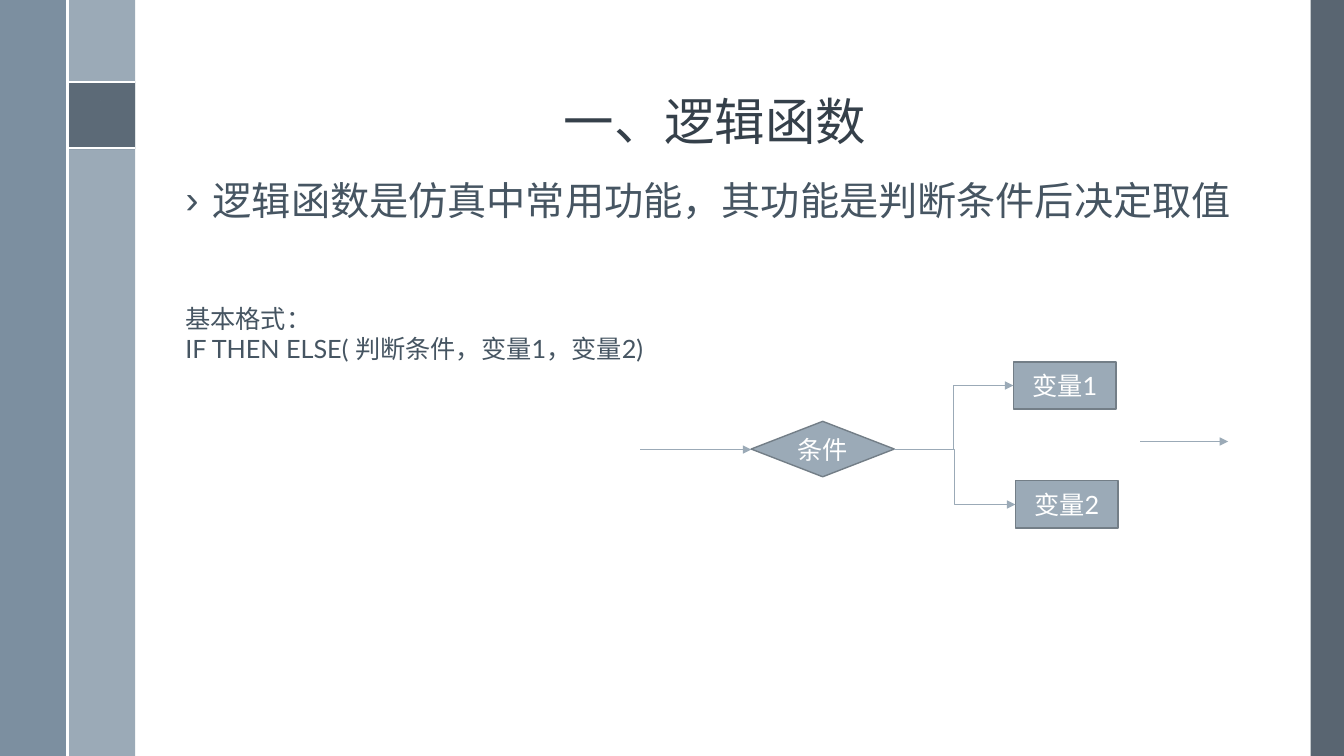
from lxml.etree import SubElement
from pptx import Presentation
from pptx.dml.color import RGBColor
from pptx.enum.shapes import MSO_CONNECTOR, MSO_SHAPE
from pptx.enum.text import MSO_ANCHOR, MSO_AUTO_SIZE, PP_ALIGN
from pptx.oxml.ns import qn
from pptx.util import Inches, Pt

CJK, LATIN = "Noto Sans CJK SC", "Lato"
WHITE, PALE, SLATE, EDGE = "FFFFFF", "9BAAB7", "475562", "737E87"
TITLE, TEXT = "35404A", "465562"
RIGHT, LEFT = 3, 1  # connection sites: right of the diamond, left of a box

PI = [(1.18, .98), (.9, .98), (.87, .99), (.85, 1.01), (.83, 1.04), (.84, 1.05),
      (.85, 1.05), (.87, 1.02), (.9, 1.01), (.94, 1.01), (.93, 1.14), (.91, 1.22),
      (.88, 1.27), (.88, 1.29), (.9, 1.29), (.94, 1.21), (.96, 1.1), (.97, 1.01),
      (1.06, 1.01), (1.05, 1.22), (1.05, 1.26), (1.07, 1.29), (1.1, 1.3),
      (1.12, 1.3), (1.16, 1.28), (1.19, 1.22), (1.18, 1.21), (1.16, 1.22),
      (1.14, 1.26), (1.11, 1.28), (1.08, 1.27), (1.07, 1.22), (1.09, 1.01),
      (1.18, 1.01), (1.19, 1)]


def rgb(code):
    return RGBColor.from_string(code)


def paint(shape, fill, edge=None, alpha=100):
    shape.shadow.inherit = False
    shape.fill.solid()
    shape.fill.fore_color.rgb = rgb(fill)
    if alpha < 100:
        color = shape.fill._xPr.find(".//" + qn("a:srgbClr"))
        SubElement(color, qn("a:alpha"), val=str(alpha * 1000))
    if edge:
        shape.line.color.rgb = rgb(edge)
        shape.line.width = Pt(1)
    else:
        shape.line.fill.background()


def style(para, size, color, font=LATIN, align=None):
    para.alignment = align
    para.font.size = Pt(size)
    para.font.name = font
    para.font.color.rgb = rgb(color)


def place(shape, *box):
    shape.left, shape.top, shape.width, shape.height = map(Inches, box)


def band(slide, box, fill, alpha=100):
    shape = slide.shapes.add_shape(MSO_SHAPE.RECTANGLE, *map(Inches, box))
    paint(shape, fill, alpha=alpha)


def node(slide, kind, box, label):
    shape = slide.shapes.add_shape(kind, *map(Inches, box))
    paint(shape, PALE, EDGE)
    frame = shape.text_frame
    frame.text = label
    frame.vertical_anchor = MSO_ANCHOR.MIDDLE
    style(frame.paragraphs[0], 18, WHITE, align=PP_ALIGN.CENTER)
    return shape


def rule(slide, ends, color=WHITE, width=1.5, kind=MSO_CONNECTOR.STRAIGHT):
    line = slide.shapes.add_connector(kind, *map(Inches, ends))
    line.line.color.rgb = rgb(color)
    line.line.width = Pt(width)
    SubElement(line._element.spPr, qn("a:effectLst"))
    return line


def arrow(slide, ends, kind=MSO_CONNECTOR.STRAIGHT):
    line = rule(slide, ends, PALE, 0.5, kind)
    SubElement(line.line._get_or_add_ln(), qn("a:tailEnd"), type="triangle")
    return line


def frame_art(slide):
    """Draw the side bands with the pi badge."""
    band(slide, (13, 0, 0.33, 7.5), SLATE, 90)
    band(slide, (0.67, 0, 0.67, 7.5), PALE)
    band(slide, (0, 0, 0.67, 7.5), "6A8093", 88)
    band(slide, (0.67, 0.81, 0.67, 0.67), SLATE, 75)
    for y in (0.81, 1.47):
        rule(slide, (0.67, y, 1.34, y))
    pen = slide.shapes.build_freeform(*PI[0], scale=Inches(1))
    pen.add_line_segments(PI[1:])
    paint(pen.convert_to_shape(), WHITE)
    rule(slide, (0.67, 0, 0.67, 7.5))


def heading(slide, text):
    title = slide.shapes.title
    place(title, 1.74, 0.19, 10.7, 1.36)
    frame = title.text_frame
    frame.text = text
    frame.auto_size = MSO_AUTO_SIZE.NONE
    frame.vertical_anchor = MSO_ANCHOR.BOTTOM
    para = frame.paragraphs[0]
    para.line_spacing = 0.9
    style(para, 36, TITLE, CJK, PP_ALIGN.CENTER)


def bullet(slide, text):
    body = slide.placeholders[1]
    place(body, 1.74, 1.75, 10.7, 5)
    frame = body.text_frame
    frame.text = text
    frame.auto_size = MSO_AUTO_SIZE.NONE
    para = frame.paragraphs[0]
    para.line_spacing = 0.9
    para.space_before = Pt(0)
    props = para._p.get_or_add_pPr()
    props.set("marL", str(Inches(0.27)))
    props.set("indent", str(Inches(-0.27)))
    SubElement(props, qn("a:buChar"), char="›")
    style(para, 28, TEXT, CJK)


def note(slide, text):
    box = slide.shapes.add_textbox(*map(Inches, (1.74, 2.96, 4.78, 0.71)))
    frame = box.text_frame
    frame.word_wrap = True
    frame.text = text
    for para in frame.paragraphs:
        style(para, 18, TEXT)


def flow(slide):
    arrow(slide, (6.35, 4.46, 7.45, 4.46))
    test = node(slide, MSO_SHAPE.FLOWCHART_DECISION, (7.45, 4.18, 1.42, 0.55), "条件")
    for x, y, label in ((10.05, 3.59, "变量1"), (10.07, 4.77, "变量2")):
        value = node(slide, MSO_SHAPE.RECTANGLE, (x, y, 1.02, 0.47), label)
        link = arrow(slide, (8.87, 4.46, x, y + 0.24), MSO_CONNECTOR.ELBOW)
        link.begin_connect(test, RIGHT)
        link.end_connect(value, LEFT)
    arrow(slide, (11.31, 4.38, 12.18, 4.38))


def main():
    deck = Presentation()
    deck.slide_width, deck.slide_height = Inches(13.33), Inches(7.5)
    slide = deck.slides.add_slide(deck.slide_layouts[1])
    frame_art(slide)
    heading(slide, "一、逻辑函数")
    bullet(slide, "逻辑函数是仿真中常用功能，其功能是判断条件后决定取值")
    note(slide, "基本格式：\nIF THEN ELSE( 判断条件，变量1，变量2)")
    flow(slide)
    deck.save("out.pptx")


if __name__ == "__main__":
    main()
